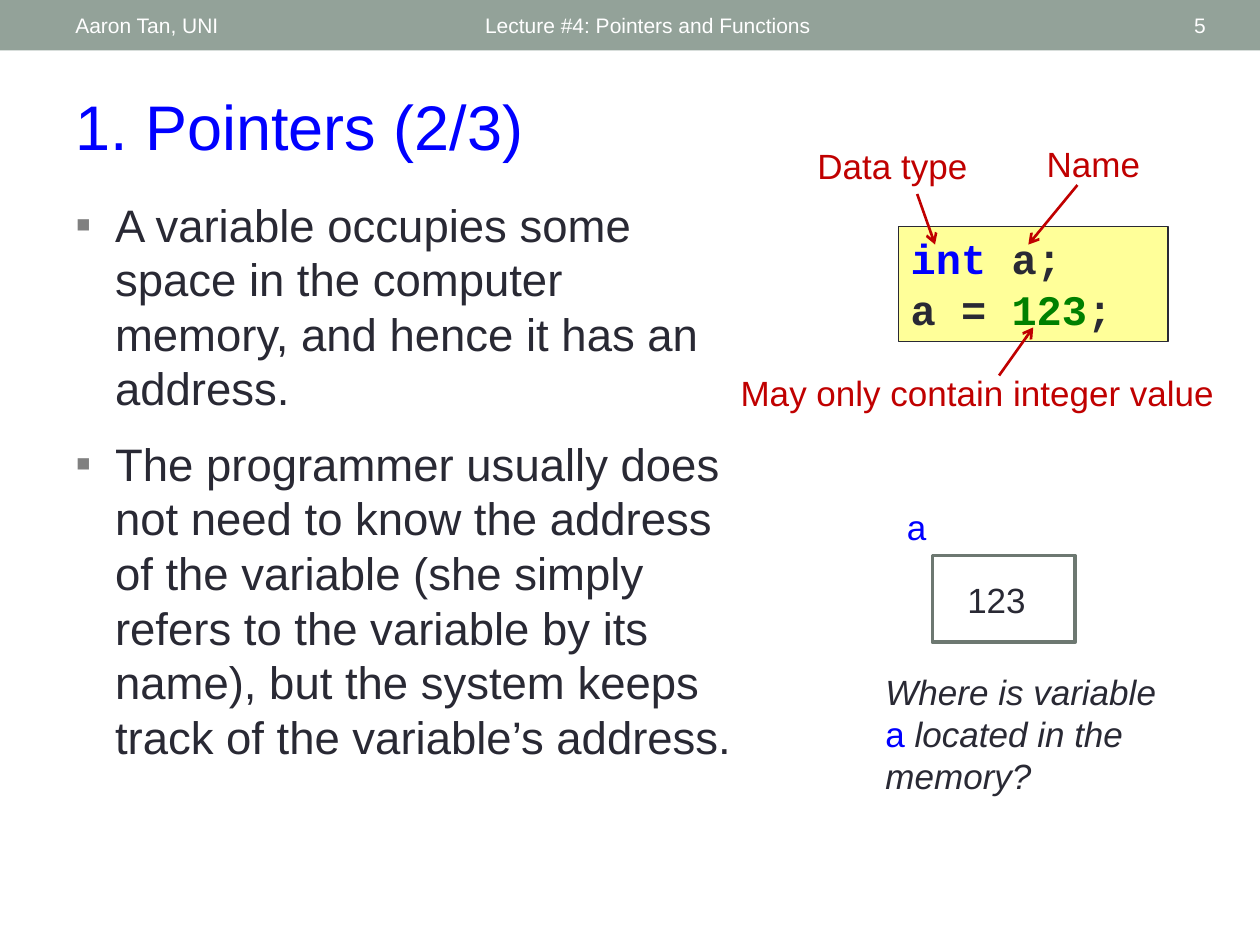
from lxml.etree import SubElement
from pptx import Presentation
from pptx.dml.color import RGBColor
from pptx.enum.shapes import MSO_CONNECTOR as Connector, MSO_SHAPE as Shape
from pptx.enum.text import MSO_ANCHOR as Anchor, PP_ALIGN as Align
from pptx.oxml.ns import qn
from pptx.util import Cm, Pt

WHITE = RGBColor(0xFF, 0xFF, 0xFF)
SAGE = RGBColor(0x93, 0xA2, 0x99)
DARK_SAGE = RGBColor(0x6D, 0x78, 0x71)
INK = RGBColor(0x29, 0x29, 0x34)
BLUE = RGBColor(0x00, 0x00, 0xFF)
GREEN = RGBColor(0x00, 0x80, 0x00)
RED = RGBColor(0xC0, 0x00, 0x00)
YELLOW = RGBColor(0xFF, 0xFF, 0x99)
LABEL_HEIGHT = 1.12


def write(paragraph, text, size=20, color=INK, font="Arial", bold=False, italic=False):
    run = paragraph.add_run()
    run.text = text
    run.font.name = font
    run.font.size = Pt(size)
    run.font.color.rgb = color
    run.font.bold = bold
    run.font.italic = italic


def add_frame(shapes, left, top, width, height, anchor=Anchor.TOP, wrap=True):
    frame = shapes.add_textbox(Cm(left), Cm(top), Cm(width), Cm(height)).text_frame
    frame.word_wrap = wrap
    frame.vertical_anchor = anchor
    return frame


def add_label(shapes, left, top, width, height, text, align=Align.LEFT,
              anchor=Anchor.TOP, **style):
    paragraph = add_frame(shapes, left, top, width, height, anchor, False).paragraphs[0]
    paragraph.alignment = align
    write(paragraph, text, **style)


def add_rectangle(shapes, left, top, width, height, fill=None, line=None, weight=1):
    rectangle = shapes.add_shape(
        Shape.RECTANGLE, Cm(left), Cm(top), Cm(width), Cm(height))
    rectangle.shadow.inherit = False
    if fill is None:
        rectangle.fill.background()
    else:
        rectangle.fill.solid()
        rectangle.fill.fore_color.rgb = fill
    if line is None:
        rectangle.line.fill.background()
    else:
        rectangle.line.color.rgb = line
        rectangle.line.width = Pt(weight)
    return rectangle


def add_arrow(shapes, start, end):
    arrow = shapes.add_connector(Connector.STRAIGHT, *map(Cm, start + end))
    arrow.line.color.rgb = RED
    arrow.line.width = Pt(1.5)
    SubElement(arrow.line._get_or_add_ln(), qn("a:tailEnd"), type="arrow")
    SubElement(arrow._element.spPr, qn("a:effectLst"))


def add_header(shapes, left, top, width, height):
    add_rectangle(shapes, left, top, width, height, fill=SAGE)
    for offset, span, text, align in (
        (9.53, 11.43, "Lecture #4: Pointers and Functions", Align.LEFT),
        (1.27, 8.05, "Aaron Tan, UNI", Align.LEFT),
        (22.15, 2.41, "5", Align.RIGHT),
    ):
        add_label(shapes, left + offset, top + 0.05, span, height - 0.1, text,
                  align=align, anchor=Anchor.MIDDLE, size=12, color=WHITE)


def add_points(shapes, left, top, width, height):
    frame = add_frame(shapes, left, top, width, height)
    points = (
        (6, "A variable occupies some space in the computer memory, "
            "and hence it has an address."),
        (12, "The programmer usually does not need to know the address of the "
             "variable (she simply refers to the variable by its name), but the "
             "system keeps track of the variable’s address."),
    )
    for index, (gap, text) in enumerate(points):
        point = frame.add_paragraph() if index else frame.paragraphs[0]
        point.space_before = Pt(gap)
        write(point, text, size=26)
        properties = point._p.get_or_add_pPr()
        properties.set("marL", str(Cm(0.8)))
        properties.set("indent", str(-Cm(0.8)))
        bullet_color = SubElement(properties, qn("a:buClr"))
        SubElement(bullet_color, qn("a:srgbClr"), val="808080")
        SubElement(properties, qn("a:buFont"), typeface="Arial")
        SubElement(properties, qn("a:buChar"), char="▪")


def add_code(shapes, left, top, width, height):
    frame = add_rectangle(shapes, left, top, width, height,
                          fill=YELLOW, line=INK, weight=0.75).text_frame
    frame.word_wrap = True
    frame.vertical_anchor = Anchor.TOP
    lines = (
        (("int", BLUE), (" a;", INK)),
        (("a = ", INK), ("123", GREEN), (";", INK)),
    )
    for index, tokens in enumerate(lines):
        line = frame.add_paragraph() if index else frame.paragraphs[0]
        line.alignment = Align.LEFT
        for text, color in tokens:
            write(line, text, size=24, color=color, font="Courier New", bold=True)

    for text, x, y, span, start, end in (
        ("Data type", -1.88, -1.78, 3.94, (0.38, -0.66), (0.74, 0.36)),
        ("Name", 2.74, -1.83, 2.72, (3.61, -0.84), (2.62, 0.36)),
        ("May only contain integer value", -3.43, 2.8, 10.11, (2.03, 3), (2.72, 2.03)),
    ):
        callout = shapes.add_group_shape().shapes
        add_arrow(callout, (left + start[0], top + start[1]),
                  (left + end[0], top + end[1]))
        add_label(callout, left + x, top + y, span, LABEL_HEIGHT, text, color=RED)


def add_variable(shapes, left, top, width, height):
    variable = shapes.add_group_shape().shapes
    add_rectangle(variable, left, top, width, height, line=DARK_SAGE, weight=2.08)
    add_label(variable, left - 0.77, top - 1.14, 1.42, LABEL_HEIGHT, "a", color=BLUE)
    add_label(variable, left + 0.45, top + 0.33, 1.98, LABEL_HEIGHT, "123")


def add_question(shapes, left, top, width, height):
    question = add_frame(shapes, left, top, width, height).paragraphs[0]
    write(question, "Where is variable ", italic=True)
    write(question, "a", color=BLUE)
    write(question, " located in the memory?", italic=True)


def main():
    deck = Presentation()
    deck.slide_width, deck.slide_height = Cm(25.4), Cm(19.05)
    shapes = deck.slides.add_slide(deck.slide_layouts[6]).shapes
    add_header(shapes, 0, 0, 25.4, 1.02)
    add_label(shapes, 1.27, 1.63, 22.86, 1.8, "1. Pointers (2/3)", size=36, color=BLUE)
    add_points(shapes, 1.27, 3.84, 13.82, 11.79)
    add_code(shapes, 18.11, 4.57, 5.44, 2.31)
    add_variable(shapes, 18.8, 11.2, 2.87, 1.75)
    add_question(shapes, 17.6, 13.39, 6.27, 2.82)
    deck.save("out.pptx")


if __name__ == "__main__":
    main()
